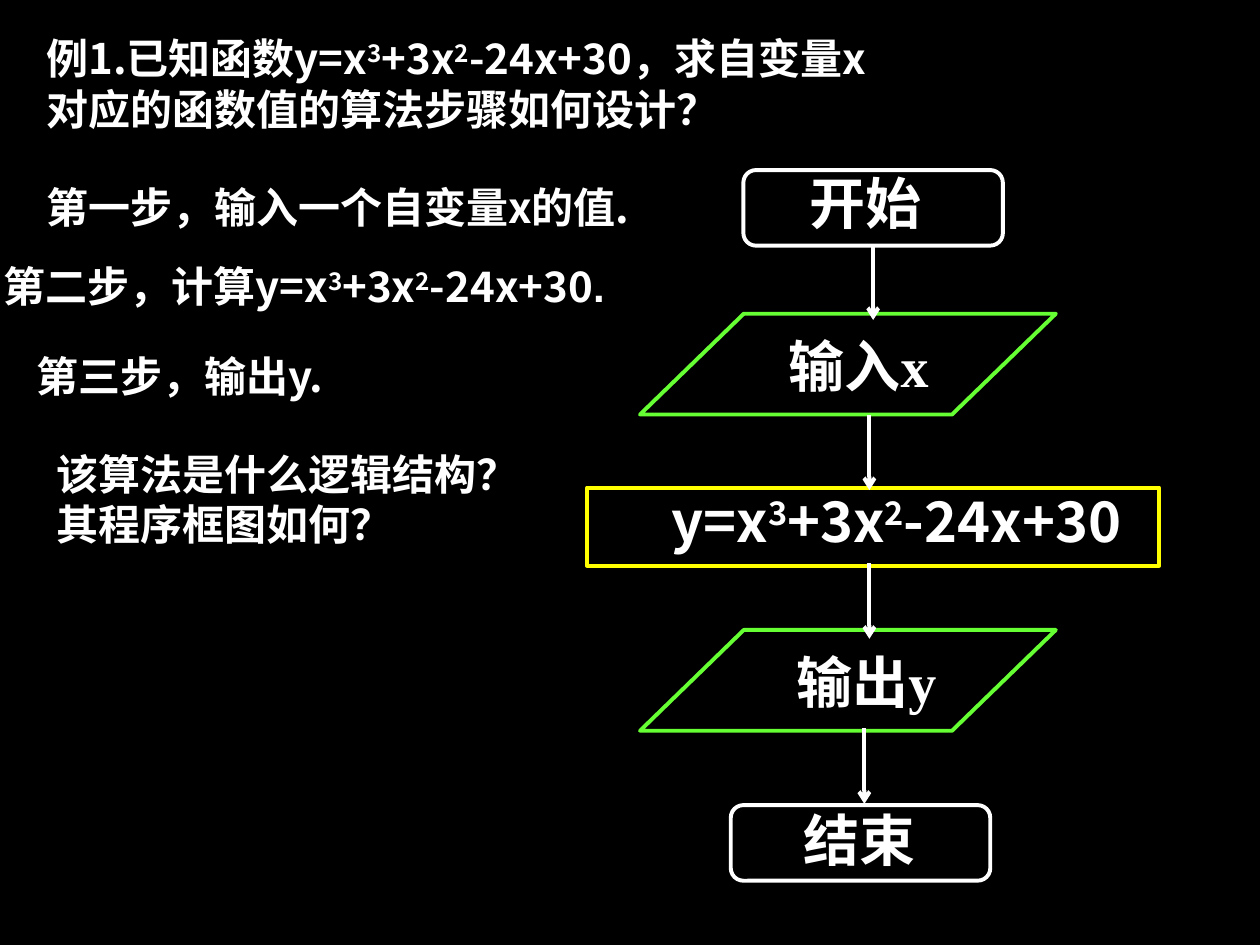
from dataclasses import dataclass

from lxml import etree
from pptx import Presentation
from pptx.dml.color import RGBColor
from pptx.enum.shapes import MSO_CONNECTOR, MSO_SHAPE
from pptx.enum.text import PP_ALIGN
from pptx.oxml.ns import qn
from pptx.util import Inches, Pt

ROUNDED = MSO_SHAPE.ROUNDED_RECTANGLE
SLANTED = MSO_SHAPE.PARALLELOGRAM
RECTANGLE = MSO_SHAPE.RECTANGLE
STRAIGHT = MSO_CONNECTOR.STRAIGHT
LEFT, JUSTIFY = PP_ALIGN.LEFT, PP_ALIGN.JUSTIFY
SANS, SERIF, ARIAL = "Noto Sans CJK SC", "Times New Roman", "Arial"
COLORS = {"background": "000000", "white": "FFFFFF", "green": "66FF33", "yellow": "FFFF00"}
LINE_WIDTH = Pt(2.25)
ARROW_LENGTH = 0.6
BOTTOM = 2


@dataclass
class Label:
    """Text whose every second piece is a superscript."""
    pieces: tuple[str, ...]
    left: float
    top: float
    width: float
    height: float
    size: int = 24
    font: str = SANS
    align: PP_ALIGN = LEFT
    wrap: bool = True
    ending: str = ""


@dataclass
class Step:
    """Outlined flowchart step."""
    kind: MSO_SHAPE
    color: str
    left: float
    top: float
    width: float
    height: float
    adjustment: float | None = None


@dataclass
class Arrow:
    """Downward arrow, optionally starting at a step."""
    x: float
    top: float
    source: int | None = None


def cubic(before: str) -> tuple[str, ...]:
    """Split the function into plain and superscript pieces."""
    return before + "y=x", "3", "+3x", "2", "-24x+30"


QUESTION = cubic("例1.已知函数")
LABELS = [
    Label((*QUESTION[:-1], QUESTION[-1] + "，求自变量x对应的函数值的算法步骤如何设计？"),
          0.27, 0.21, 6.97, 0.9),
    Label(("第一步，输入一个自变量x的值.",), 0.27, 1.39, 5.16, 0.9),
    Label(cubic("第二步，计算"), -0.07, 2.02, 5.21, 0.5, wrap=False, ending="."),
    Label(("第三步，输出y.",), 0.19, 2.73, 2.84, 0.5),
    Label(("该算法是什么逻辑结构？其程序框图如何？",), 0.35, 3.51, 3.94, 0.9),
    Label(("开始",), 6.33, 1.29, 1.42, 0.55, 32, SERIF, JUSTIFY),
    Label(("输入x",), 6.16, 2.58, 1.7, 0.55, 32, SERIF, JUSTIFY),
    Label(cubic(""), 5.23, 3.81, 4.07, 0.64, 32),
    Label(("输出y",), 6.22, 5.09, 1.69, 0.58, 32, SERIF, JUSTIFY),
    Label(("结束",), 6.28, 6.34, 1.58, 0.52, 32, SERIF, JUSTIFY),
]
STEPS = [
    Step(ROUNDED, "white", 5.9, 1.35, 2.06, 0.6),
    Step(SLANTED, "green", 5.08, 2.49, 3.3, 0.8, 1.03),
    Step(RECTANGLE, "yellow", 4.66, 3.87, 4.54, 0.62),
    Step(SLANTED, "green", 5.08, 5, 3.3, 0.8, 1.03),
    Step(ROUNDED, "white", 5.8, 6.39, 2.06, 0.6),
]
ARROWS = [Arrow(6.93, 1.94, 0), Arrow(6.9, 3.29), Arrow(6.9, 4.47), Arrow(6.86, 5.78)]


def rgb(name: str) -> RGBColor:
    """Look up a named colour."""
    return RGBColor.from_string(COLORS[name])


def draw_step(slide, step: Step):
    """Draw one outlined step."""
    outline = slide.shapes.add_shape(step.kind, Inches(step.left), Inches(step.top),
                                     Inches(step.width), Inches(step.height))
    outline.shadow.inherit = False
    outline.fill.background()
    outline.line.color.rgb = rgb(step.color)
    outline.line.width = LINE_WIDTH
    if step.adjustment is not None:
        outline.adjustments[0] = step.adjustment
    return outline


def draw_arrow(slide, arrow: Arrow, outlines: list) -> None:
    """Draw one arrow without a shadow."""
    x = Inches(arrow.x)
    link = slide.shapes.add_connector(STRAIGHT, x, Inches(arrow.top),
                                      x, Inches(arrow.top + ARROW_LENGTH))
    if arrow.source is not None:
        link.begin_connect(outlines[arrow.source], BOTTOM)
    link.line.color.rgb = rgb("white")
    link.line.width = LINE_WIDTH
    properties = link._element.spPr
    etree.SubElement(properties.find(qn("a:ln")), qn("a:tailEnd"), type="arrow")
    etree.SubElement(properties, qn("a:effectLst"))


def add_run(paragraph, text: str, label: Label, font: str, raised: bool) -> None:
    """Append one bold white run."""
    run = paragraph.add_run()
    run.text = text
    run.font.size = Pt(label.size)
    run.font.bold = True
    run.font.name = font
    run.font.color.rgb = rgb("white")
    properties = run._r.get_or_add_rPr()
    etree.SubElement(properties, qn("a:ea"), typeface=SANS)
    if raised:
        properties.set("baseline", "30000")


def draw_label(slide, label: Label) -> None:
    """Draw one text box."""
    box = slide.shapes.add_textbox(Inches(label.left), Inches(label.top),
                                   Inches(label.width), Inches(label.height))
    box.text_frame.word_wrap = label.wrap
    paragraph = box.text_frame.paragraphs[0]
    paragraph.alignment = label.align
    for index, piece in enumerate(label.pieces):
        add_run(paragraph, piece, label, label.font, index % 2 == 1)
    if label.ending:
        add_run(paragraph, label.ending, label, ARIAL, False)


def main() -> None:
    """Build the slide with the algorithm and its flowchart."""
    deck = Presentation()
    deck.slide_width, deck.slide_height = Inches(10), Inches(7.5)
    slide = deck.slides.add_slide(deck.slide_layouts[6])
    slide.background.fill.solid()
    slide.background.fill.fore_color.rgb = rgb("background")
    outlines = [draw_step(slide, step) for step in STEPS]
    for arrow in ARROWS:
        draw_arrow(slide, arrow, outlines)
    for label in LABELS:
        draw_label(slide, label)
    deck.save("out.pptx")


if __name__ == "__main__":
    main()
